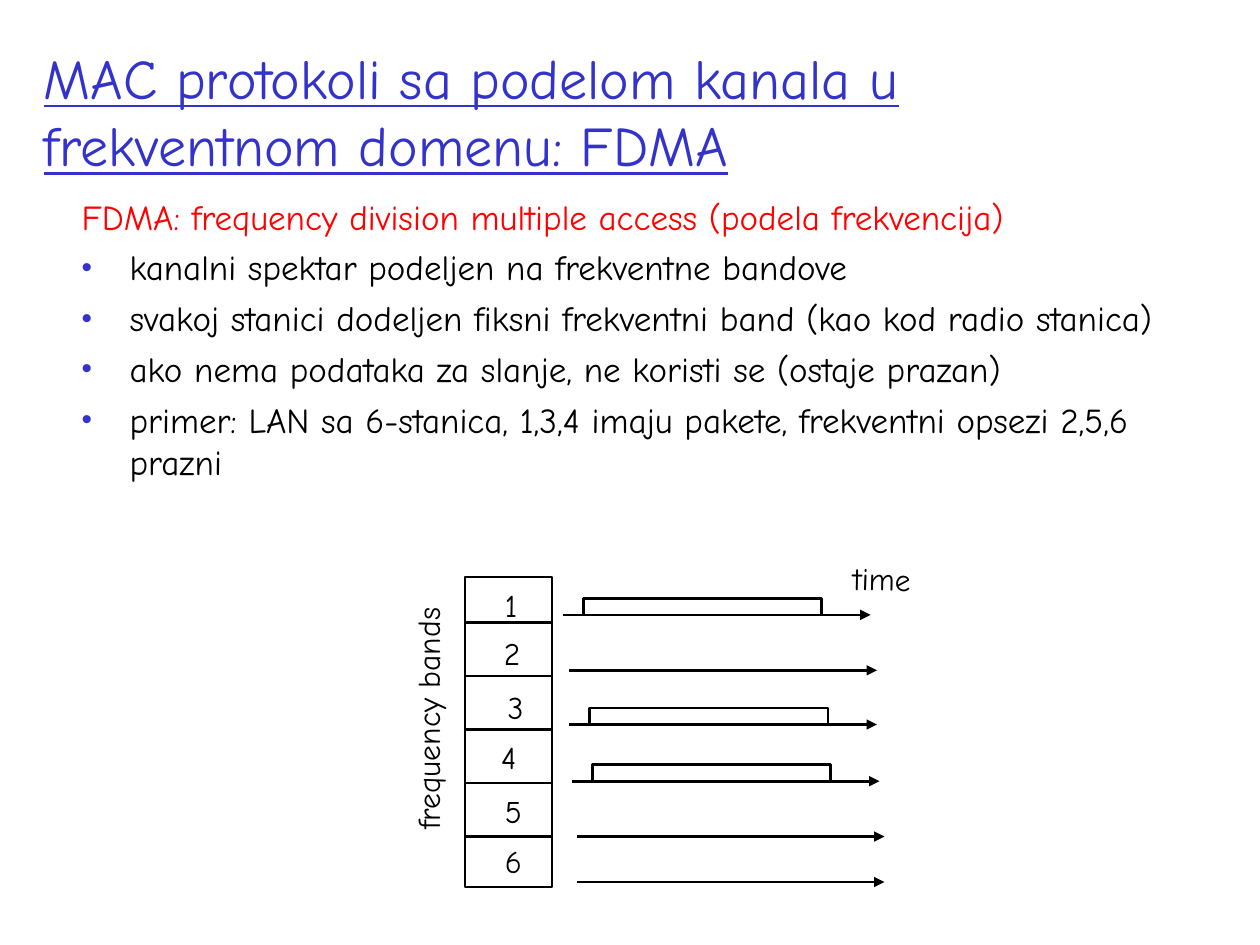
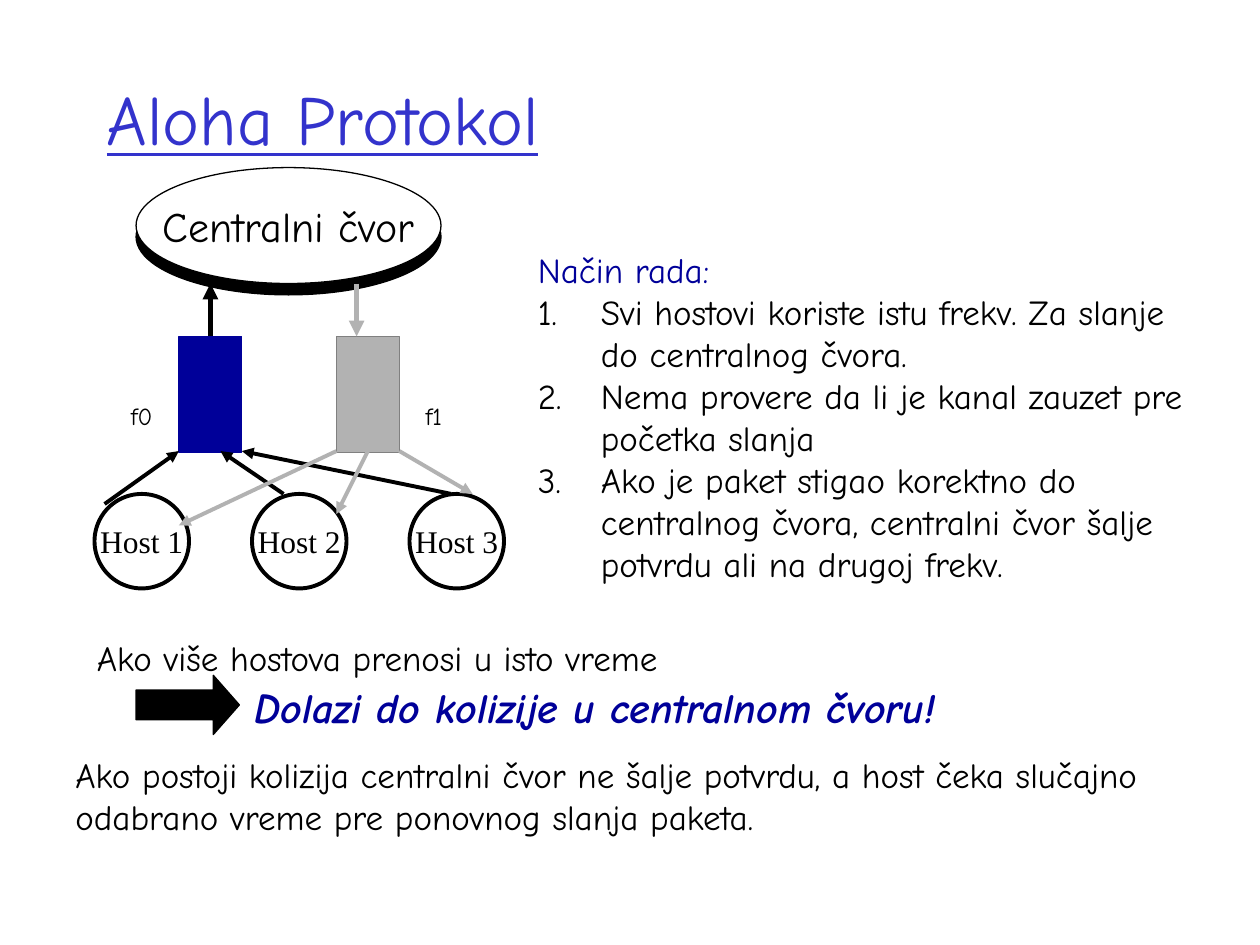
import pptx
import pptx.util
import pptx.dml.color
import pptx.enum.shapes
import pptx.enum.text
import pptx.oxml.ns
import lxml.etree

Inches = pptx.util.Inches
Pt = pptx.util.Pt
SHAPE = pptx.enum.shapes.MSO_SHAPE
ANCHOR = pptx.enum.text.MSO_ANCHOR

FONT = "Comic Neue"
BLACK, WHITE, RED = "000000", "FFFFFF", "FF0000"
BLUE, NAVY, GRAY, EDGE = "3333CC", "000099", "B2B2B2", "808080"


def color(code):
    return pptx.dml.color.RGBColor.from_string(code)


def add_tag(parent, name, **attrs):
    tag = lxml.etree.SubElement(parent, pptx.oxml.ns.qn(name))
    for key, value in attrs.items():
        tag.set(key, value)
    return tag


class Deck:
    """Holds the shared style and the current slide."""

    def __init__(self):
        self.show = pptx.Presentation()
        self.show.slide_width = Inches(10)
        self.show.slide_height = Inches(7.5)
        self.slide = None

    def start(self):
        self.slide = self.show.slides.add_slide(self.show.slide_layouts[6])

    def style(self, para, size, ink=BLACK, font=FONT, **flags):
        para.font.size = Pt(size)
        para.font.name = font
        para.font.color.rgb = color(ink)
        for flag, value in flags.items():
            setattr(para.font, flag, value)

    def box(self, x, y, w, h, wrap=True):
        box = self.slide.shapes.add_textbox(Inches(x), Inches(y), Inches(w), Inches(h))
        box.text_frame.word_wrap = wrap
        return box

    def text(self, words, x, y, w, h, size=20, ink=BLACK, wrap=True, turn=0, **flags):
        box = self.box(x, y, w, h, wrap)
        box.rotation = turn
        para = box.text_frame.paragraphs[0]
        para.text = words
        self.style(para, size, ink, **flags)
        return box

    def title(self, words, x, y, w, h, size):
        box = self.text(words, x, y, w, h, size, BLUE, underline=True)
        box.text_frame.vertical_anchor = ANCHOR.MIDDLE

    def items(self, head, ink, lines, x, y, w, h, indent, gap=0, mark=None):
        """A coloured heading, then bullets, or numbers when there is no mark."""
        frame = self.box(x, y, w, h).text_frame
        for i, words in enumerate([head] + lines):
            para = frame.add_paragraph() if i else frame.paragraphs[0]
            para.text = words
            para.space_before = Pt(gap)
            props = para._p.get_or_add_pPr()
            props.set("marL", str(Inches(indent)))
            props.set("indent", str(-Inches(indent)))
            if i == 0:
                add_tag(props, "a:buNone")
            elif mark:
                add_tag(add_tag(props, "a:buClr"), "a:srgbClr", val=BLUE)
                add_tag(props, "a:buSzPct", val="85000")
                add_tag(props, "a:buFont", typeface="Arial")
                add_tag(props, "a:buChar", char=mark)
            else:
                add_tag(add_tag(props, "a:buClr"), "a:srgbClr", val=BLACK)
                add_tag(props, "a:buFont", typeface=FONT)
                add_tag(props, "a:buAutoNum", type="arabicPeriod")
            self.style(para, 20, BLACK if i else ink)

    def shape(self, kind, x, y, w, h, fill=WHITE, line=BLACK, width=0.75):
        shape = self.slide.shapes.add_shape(kind, Inches(x), Inches(y), Inches(w), Inches(h))
        shape.shadow.inherit = False
        shape.fill.solid()
        shape.fill.fore_color.rgb = color(fill)
        shape.line.color.rgb = color(line)
        shape.line.width = Pt(width)
        return shape

    def oval(self, words, x, y, w, h, size, font=FONT, width=0.75):
        frame = self.shape(SHAPE.OVAL, x, y, w, h, width=width).text_frame
        frame.word_wrap = False
        frame.vertical_anchor = ANCHOR.MIDDLE
        para = frame.paragraphs[0]
        para.text = words
        para.alignment = pptx.enum.text.PP_ALIGN.CENTER
        self.style(para, size, font=font)

    def line(self, x1, y1, x2, y2, ink=BLACK, width=1.5, arrow=True):
        line = self.slide.shapes.add_connector(
            pptx.enum.shapes.MSO_CONNECTOR.STRAIGHT,
            Inches(x1), Inches(y1), Inches(x2), Inches(y2))
        line.line.color.rgb = color(ink)
        line.line.width = Pt(width)
        props = line._element.spPr
        if arrow:
            add_tag(props.get_or_add_ln(), "a:tailEnd", type="triangle")
        add_tag(props, "a:effectLst")

    def pulse(self, x, y, w, h):
        """An open frame that stands on a time axis."""
        left, top, right, base = (Inches(v) for v in (x, y - h, x + w, y))
        path = self.slide.shapes.build_freeform(left, base)
        path.add_line_segments([(left, top), (right, top), (right, base)], close=False)
        shape = path.convert_to_shape()
        shape.shadow.inherit = False
        shape.fill.background()
        shape.line.color.rgb = color(BLACK)
        shape.line.width = Pt(1.5)


def fdma(deck):
    deck.start()
    deck.title("MAC protokoli sa podelom kanala u frekventnom domenu: FDMA",
               0.25, 0.25, 9.44, 1.25, 32)
    deck.items("FDMA: frequency division multiple access (podela frekvencija)", RED, [
        "kanalni spektar podeljen na frekventne bandove",
        "svakoj stanici dodeljen fiksni frekventni band (kao kod radio stanica)",
        "ako nema podataka za slanje, ne koristi se (ostaje prazan)",
        "primer: LAN sa 6-stanica, 1,3,4 imaju pakete, frekventni opsezi 2,5,6 prazni",
    ], 0.55, 1.5, 8.99, 5.08, 0.38, gap=5, mark="•")

    # Column of bands
    deck.shape(SHAPE.RECTANGLE, 3.69, 4.58, 0.69, 2.46, width=1.5)
    pitch = (6.64 - 4.94) / 4
    for i in range(5):
        y = 4.94 + pitch * i
        deck.line(3.68, y, 4.37, y, arrow=False)

    # Band number place, axis start, and whether the band is in use
    bands = [
        (3.91, 4.6, 4.47, 4.88, True),
        (3.9, 4.98, 4.52, 5.32, False),
        (3.93, 5.41, 4.52, 5.75, True),
        (3.88, 5.81, 4.54, 6.2, True),
        (3.91, 6.24, 4.58, 6.64, False),
        (3.91, 6.63, 4.58, 7, False),
    ]
    for band, (left, top, x, y, used) in enumerate(bands, 1):
        deck.line(x, y, x + 2.44, y)
        if used:
            deck.pulse(x + 0.16, y, 1.89, 0.13)
        deck.text(str(band), left, top, 0.34, 0.4, 18, wrap=False)

    # Axis names
    deck.text("frequency bands", 2.41, 5.5, 1.97, 0.4, 18, wrap=False, turn=270)
    deck.text("time", 6.67, 4.39, 0.66, 0.4, 18, wrap=False, turn=1.1)


def aloha(deck):
    deck.start()
    deck.title("Aloha Protokol", 0.75, 0.42, 8.5, 1.03, 40)

    # Central node and its two channels
    deck.shape(SHAPE.OVAL, 1.08, 1.42, 2.42, 0.92, BLACK)
    deck.oval("Centralni čvor", 1.08, 1.33, 2.42, 0.92, 24)
    deck.shape(SHAPE.RECTANGLE, 1.42, 2.67, 0.5, 0.92, NAVY, NAVY)
    deck.shape(SHAPE.RECTANGLE, 2.67, 2.67, 0.5, 0.92, GRAY, EDGE)
    deck.line(1.67, 2.67, 1.67, 2.25, width=3)
    deck.line(2.83, 2.25, 2.83, 2.67, GRAY, 3)
    for words, x in (("f0", 0.94), ("f1", 3.28)):
        box = deck.text(words, x, 2.91, 0.45, 0.56, 24, wrap=False)
        run = box.text_frame.paragraphs[0].runs[0]
        run._r.get_or_add_rPr().set("baseline", "-25000")

    # Hosts, with links up (black) and down (gray)
    for i in range(3):
        deck.oval(f"Host {i + 1}", 0.75 + 1.25 * i, 3.92, 0.75, 0.75, 18,
                  "Times New Roman", 2.25)
    links = [
        (3.58, 3.92, 1.92, 3.58, BLACK),
        (2.25, 3.92, 1.75, 3.58, BLACK),
        (0.83, 4, 1.42, 3.58, BLACK),
        (2.67, 3.58, 1.42, 4.17, GRAY),
        (2.92, 3.58, 2.67, 4.08, GRAY),
        (3.17, 3.58, 3.75, 3.92, GRAY),
    ]
    for link in links:
        deck.line(*link, width=2.25)

    # How it works
    deck.items("Način rada:", NAVY, [
        "Svi hostovi koriste istu frekv. Za slanje do centralnog čvora.",
        "Nema provere da li je kanal zauzet pre početka slanja",
        "Ako je paket stigao korektno do centralnog čvora, "
        "centralni čvor šalje potvrdu ali na drugoj frekv.",
    ], 4.17, 1.92, 5.55, 2.77, 0.5)

    # Collision
    deck.text("Ako više hostova prenosi u isto vreme", 0.67, 5, 4.69, 0.44, wrap=False)
    arrow = deck.shape(SHAPE.RIGHT_ARROW, 1.08, 5.36, 0.82, 0.47, BLACK)
    arrow.adjustments[1] = 0.44
    deck.text("Dolazi do kolizije u centralnom čvoru!", 1.92, 5.36, 6.71, 0.5,
              24, NAVY, bold=True, italic=True)
    deck.text("Ako postoji kolizija centralni čvor ne šalje potvrdu, a host čeka "
              "slučajno odabrano vreme pre ponovnog slanja paketa.",
              0.5, 5.93, 9.26, 0.77)


def main():
    deck = Deck()
    fdma(deck)
    aloha(deck)
    deck.show.save("out.pptx")


if __name__ == "__main__":
    main()
